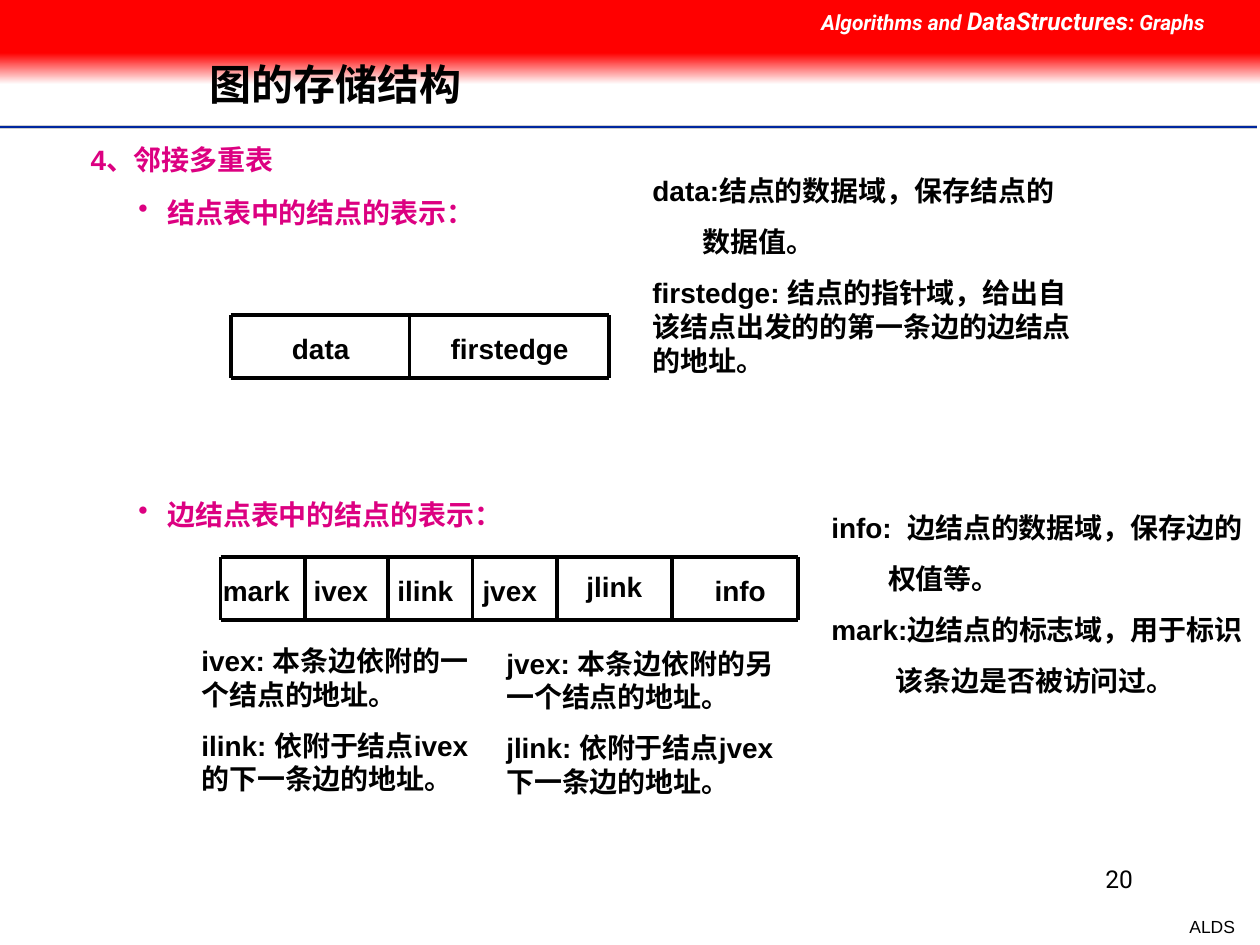
from pptx import Presentation
from pptx.dml.color import RGBColor
from pptx.enum.lang import MSO_LANGUAGE_ID
from pptx.enum.shapes import MSO_CONNECTOR, MSO_SHAPE
from pptx.enum.text import MSO_ANCHOR, MSO_AUTO_SIZE, PP_ALIGN
from pptx.oxml.ns import qn
from pptx.util import Inches, Pt
from lxml.etree import SubElement

COLORS = {"ink": "000000", "pink": "DC0081", "red": "FF0000",
          "white": "FFFFFF", "grey": "CECECE", "blue": "00279F"}
BODY = {"name": "Arial", "size": Pt(16), "bold": True, "italic": False,
        "language_id": MSO_LANGUAGE_ID.SIMPLIFIED_CHINESE}
HEAD = {**BODY, "name": "Roboto", "size": Pt(12), "italic": True}
CENTER, RIGHT = PP_ALIGN.CENTER, PP_ALIGN.RIGHT


def unit(n):
    """Turn grid steps into a length; the slide is 120 columns by 90 rows."""
    return Inches(round(n / 12, 2))


def rgb(name):
    """Look up a named colour."""
    return RGBColor.from_string(COLORS[name])


class Board:
    """Holds the current slide and draws each kind of element on it."""

    def __init__(self, slide):
        """Keep the slide and its shapes."""
        self.slide, self.shapes = slide, slide.shapes

    def run(self, para, text, style=BODY, color="ink"):
        """Add a run in the given style."""
        run = para.add_run()
        run.text = text
        for key, value in style.items():
            setattr(run.font, key, value)
        run.font.color.rgb = rgb(color)

    def title(self, text, box):
        """Place and fill the title above the bands."""
        title = self.shapes.title
        title.left, title.top, title.width, title.height = map(unit, box)
        frame = title.text_frame
        frame.vertical_anchor = MSO_ANCHOR.MIDDLE
        frame.auto_size = MSO_AUTO_SIZE.NONE
        para = frame.paragraphs[0]
        para.alignment, para.line_spacing = PP_ALIGN.LEFT, 0.9
        self.run(para, text, {**BODY, "size": Pt(24)})
        self.shapes.element.append(title.element)

    def text(self, box, paras, style=BODY, color="ink", align=PP_ALIGN.LEFT,
             gap=10, bullet=False, wrap=True):
        """Add a text box; a paragraph is (indent in inches, text or runs)."""
        frame = self.shapes.add_textbox(*map(unit, box)).text_frame
        frame.word_wrap, frame.auto_size = wrap, MSO_AUTO_SIZE.SHAPE_TO_FIT_TEXT
        for i, (indent, words) in enumerate(paras):
            para = frame.add_paragraph() if i else frame.paragraphs[0]
            para.alignment, para.space_before = align, Pt(gap)
            props = para._p.get_or_add_pPr()
            props.set("marL", str(Inches(indent)))
            props.set("indent", str(-Inches(indent) if bullet else 0))
            if bullet:
                SubElement(props, qn("a:buChar")).set("char", "•")
            runs = [(words, style)] if isinstance(words, str) else words
            for part, look in runs:
                self.run(para, part, look, color)

    def line(self, x1, y1, x2, y2, color="ink", width=2.25):
        """Add a straight line without a shadow."""
        line = self.shapes.add_connector(
            MSO_CONNECTOR.STRAIGHT, *map(unit, (x1, y1, x2, y2)))
        line.line.color.rgb, line.line.width = rgb(color), Pt(width)
        SubElement(line.element.spPr, qn("a:effectLst"))

    def band(self, top, high, fade=False):
        """Add a full-width band, plain red or fading to white."""
        band = self.shapes.add_shape(
            MSO_SHAPE.RECTANGLE, *map(unit, (0, top, 120, high)))
        band.shadow.inherit = False
        band.line.fill.background()
        if not fade:
            band.fill.solid()
            band.fill.fore_color.rgb = rgb("red")
            return
        band.fill.gradient()
        band.fill.gradient_angle = 270
        for stop, name in zip(band.fill.gradient_stops, ("red", "white")):
            stop.color.rgb = rgb(name)

    def record(self, top, edges, labels):
        """Draw a row of cells from its edges, then the field names."""
        low = top + 6
        for y in (top, low):
            self.line(edges[0], y, edges[-1], y)
        for x in edges:
            self.line(x, low, x, top)
        for left, rise, align, name in labels:
            self.text((left, top + rise, 15, 4.4), [(0, name)], align=align)


deck = Presentation()
deck.slide_width, deck.slide_height = unit(120), unit(90)
board = Board(deck.slides.add_slide(deck.slide_layouts[5]))

for y, color, width in ((12.1, "grey", 2), (12.1, "blue", 1), (12.4, "white", 1)):
    board.line(0, y, 119.8, y, color, width)
board.band(5, 3, fade=True)
board.band(0, 5)
board.text((77, 0, 43, 4.1), [(0, [
    ("Algorithms and ", HEAD), ("DataStructures", {**HEAD, "size": Pt(14)}),
    (": Graphs", HEAD)])], color="white", gap=7.5)
small = {**BODY, "bold": False, "size": Pt(10)}
board.text((112.1, 86.6, 6.7, 3.2), [(0, "ALDS")], small, align=RIGHT,
           gap=6.2, wrap=False)
board.text((86, 81.7, 23, 6), [(0, "20")],
           {**small, "name": "Roboto", "size": Pt(14)}, align=RIGHT, gap=0)
board.title("图的存储结构", (18.7, 3.8, 90.6, 8.9))

board.text((0, 13, 91, 4.4), [(0.62, "4、邻接多重表")], color="pink")
for y, words in ((18, "结点表中的结点的表示："), (46.8, "边结点表中的结点的表示：")):
    board.text((12, y, 36, 4.4), [(0.23, words)], color="pink", bullet=True)

board.record(30, (22, 39, 58),
             ((23, 1, CENTER, "data"), (41, 1, CENTER, "firstedge")))
board.record(53, (21, 29, 37, 45, 53, 64, 76), (
    (20, 1, PP_ALIGN.LEFT, "mark"), (25, 1, CENTER, "ivex"),
    (33, 1, CENTER, "ilink"), (41, 1, CENTER, "jvex"),
    (51, 0.6, CENTER, "jlink"), (63, 1, CENTER, "info")))

NOTES = (
    ((61, 16, 43, 20.5), [
        (0, "data:结点的数据域，保存结点的"), (0.4, "数据值。"),
        (0, "firstedge: 结点的指针域，给出自该结点出发的的第一条边的边结点的地址。")]),
    ((78, 48, 43, 19.1), [
        (0, "info:  边结点的数据域，保存边的"), (0.45, "权值等。"),
        (0, "mark:边结点的标志域，用于标识"), (0.51, "该条边是否被访问过。")]),
    ((18, 60.7, 28, 18.8), [
        (0, "ivex: 本条边依附的一个结点的地址。"),
        (0, "ilink: 依附于结点ivex的下一条边的地址。")]),
    ((47, 61, 28, 18.8), [
        (0, "jvex: 本条边依附的另一个结点的地址。"),
        (0, "jlink: 依附于结点jvex下一条边的地址。")]),
)
for box, paras in NOTES:
    board.text(box, paras)

deck.save("out.pptx")
